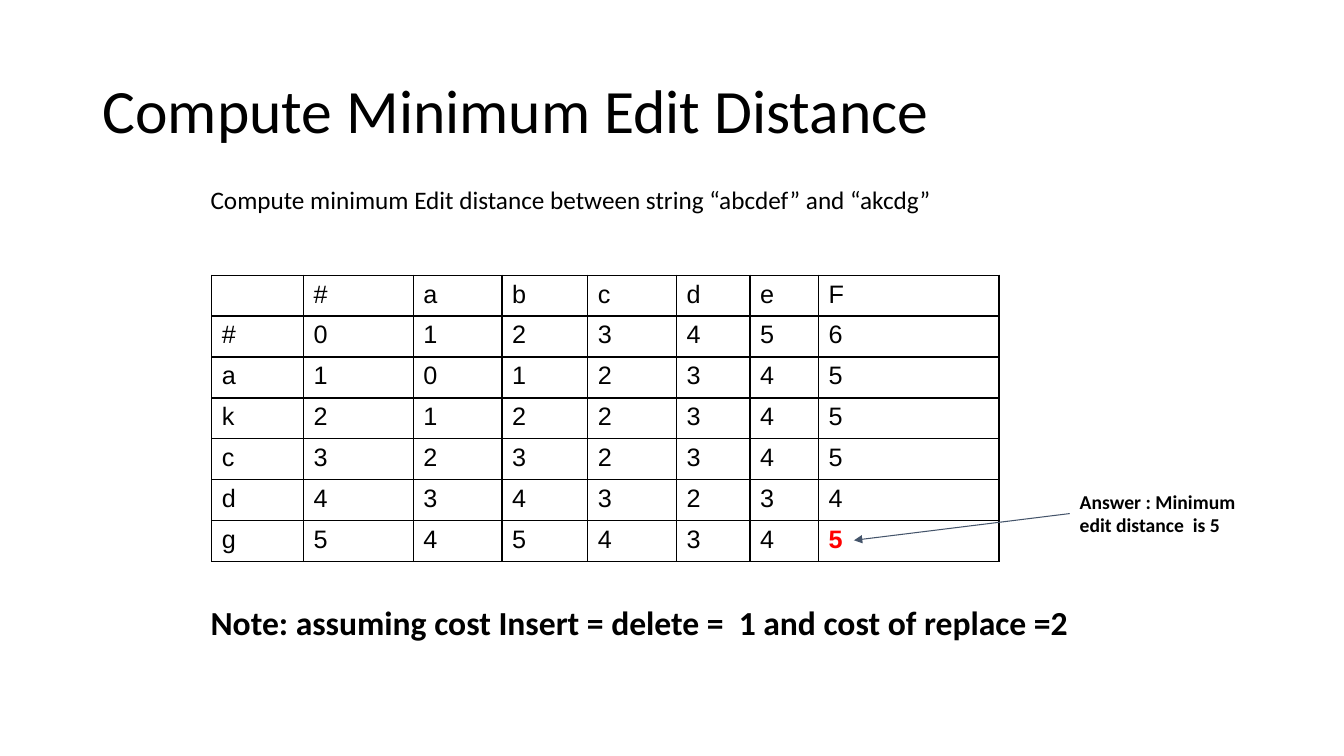
from lxml.etree import SubElement
from pptx import Presentation
from pptx.dml.color import RGBColor
from pptx.enum.shapes import MSO_CONNECTOR
from pptx.enum.text import MSO_ANCHOR
from pptx.oxml.ns import qn
from pptx.util import Inches, Pt

COLORS = {"text": "000000", "border": "000000", "answer": "FF0000", "arrow": "44546A"}

DISTANCES = [
    ["", "#", "a", "b", "c", "d", "e", "F"],
    ["#", "0", "1", "2", "3", "4", "5", "6"],
    ["a", "1", "0", "1", "2", "3", "4", "5"],
    ["k", "2", "1", "2", "2", "3", "4", "5"],
    ["c", "3", "2", "3", "2", "3", "4", "5"],
    ["d", "4", "3", "4", "3", "2", "3", "4"],
    ["g", "5", "4", "5", "4", "3", "4", "5"],
]
COLUMN_WIDTHS = [0.91, 1.09, 0.88, 0.85, 0.88, 0.73, 0.68, 1.79]
ROW_HEIGHT = 0.406


class EditDistanceSlide:
    heading_font = "Calibri"
    table_font = "Arial"

    def __init__(self, slide):
        self.shapes = slide.shapes

    def add_run(self, paragraph, text, size, font, bold=False, color="text"):
        run = paragraph.add_run()
        run.text = text
        run.font.size = Pt(size)
        run.font.name = font
        run.font.bold = bold
        run.font.color.rgb = RGBColor.from_string(COLORS[color])

    def add_text(self, text, left, top, width, height, size, bold=False,
                 anchor=MSO_ANCHOR.TOP, inset=0.05, line_spacing=None):
        box = self.shapes.add_textbox(Inches(left), Inches(top), Inches(width), Inches(height))
        frame = box.text_frame
        frame.word_wrap = True
        frame.vertical_anchor = anchor
        frame.margin_left = frame.margin_right = Inches(0.1)
        frame.margin_top = frame.margin_bottom = Inches(inset)
        paragraph = frame.paragraphs[0]
        paragraph.line_spacing = line_spacing
        self.add_run(paragraph, text, size, self.heading_font, bold)
        return box

    def add_borders(self, cell):
        properties = cell._tc.get_or_add_tcPr()
        for position, side in enumerate(("a:lnL", "a:lnR", "a:lnT", "a:lnB")):
            border = properties.makeelement(qn(side), {"w": str(Pt(1))})
            properties.insert(position, border)
            fill = SubElement(border, qn("a:solidFill"))
            SubElement(fill, qn("a:srgbClr"), val=COLORS["border"])

    def add_matrix(self, rows, left, top, widths, row_height):
        """Add the distance table, with its last cell marked as the answer."""
        table = self.shapes.add_table(
            len(rows), len(widths), Inches(left), Inches(top),
            Inches(sum(widths)), Inches(row_height * len(rows))).table
        table.first_row = table.horz_banding = False
        for column, width in zip(table.columns, widths):
            column.width = Inches(width)
        for row_index, values in enumerate(rows):
            table.rows[row_index].height = Inches(row_height)
            for column_index, value in enumerate(values):
                cell = table.cell(row_index, column_index)
                cell.fill.background()
                self.add_borders(cell)
                is_answer = (row_index, column_index) == (len(rows) - 1, len(widths) - 1)
                paragraph = cell.text_frame.paragraphs[0]
                if value:
                    self.add_run(paragraph, value, 18, self.table_font, is_answer,
                                 "answer" if is_answer else "text")
                else:
                    paragraph.font.size = Pt(18)

    def add_arrow_from_left_of(self, box, end_x, end_y):
        arrow = self.shapes.add_connector(
            MSO_CONNECTOR.STRAIGHT, box.left, box.top + box.height // 2,
            Inches(end_x), Inches(end_y))
        arrow.begin_connect(box, 1)
        arrow.line.color.rgb = RGBColor.from_string(COLORS["arrow"])
        arrow.line.width = Pt(0.75)
        SubElement(arrow.line._get_or_add_ln(), qn("a:tailEnd"), type="triangle")
        SubElement(arrow._element.spPr, qn("a:effectLst"))


def main():
    presentation = Presentation()
    presentation.slide_width = Inches(13.33)
    presentation.slide_height = Inches(7.5)
    page = EditDistanceSlide(presentation.slides.add_slide(presentation.slide_layouts[6]))

    page.add_text("Compute Minimum Edit Distance", 0.92, 0.4, 11.5, 1.45, 44,
                  anchor=MSO_ANCHOR.MIDDLE, line_spacing=0.9)
    page.add_matrix(DISTANCES, 2.1, 2.73, COLUMN_WIDTHS, ROW_HEIGHT)
    page.add_text("Compute minimum Edit distance between string “abcdef” and “akcdg”",
                  1.99, 1.78, 8.42, 0.4, 18)
    page.add_text("Note: assuming cost Insert = delete =  1 and cost of replace =2",
                  1.99, 5.92, 9.62, 0.5, 24, bold=True)
    answer = page.add_text("Answer : Minimum edit distance  is 5",
                           10.61, 4.76, 2.09, 0.67, 14, bold=True, inset=0.1)
    page.add_arrow_from_left_of(answer, 8.47, 5.36)

    presentation.save("out.pptx")


if __name__ == "__main__":
    main()
